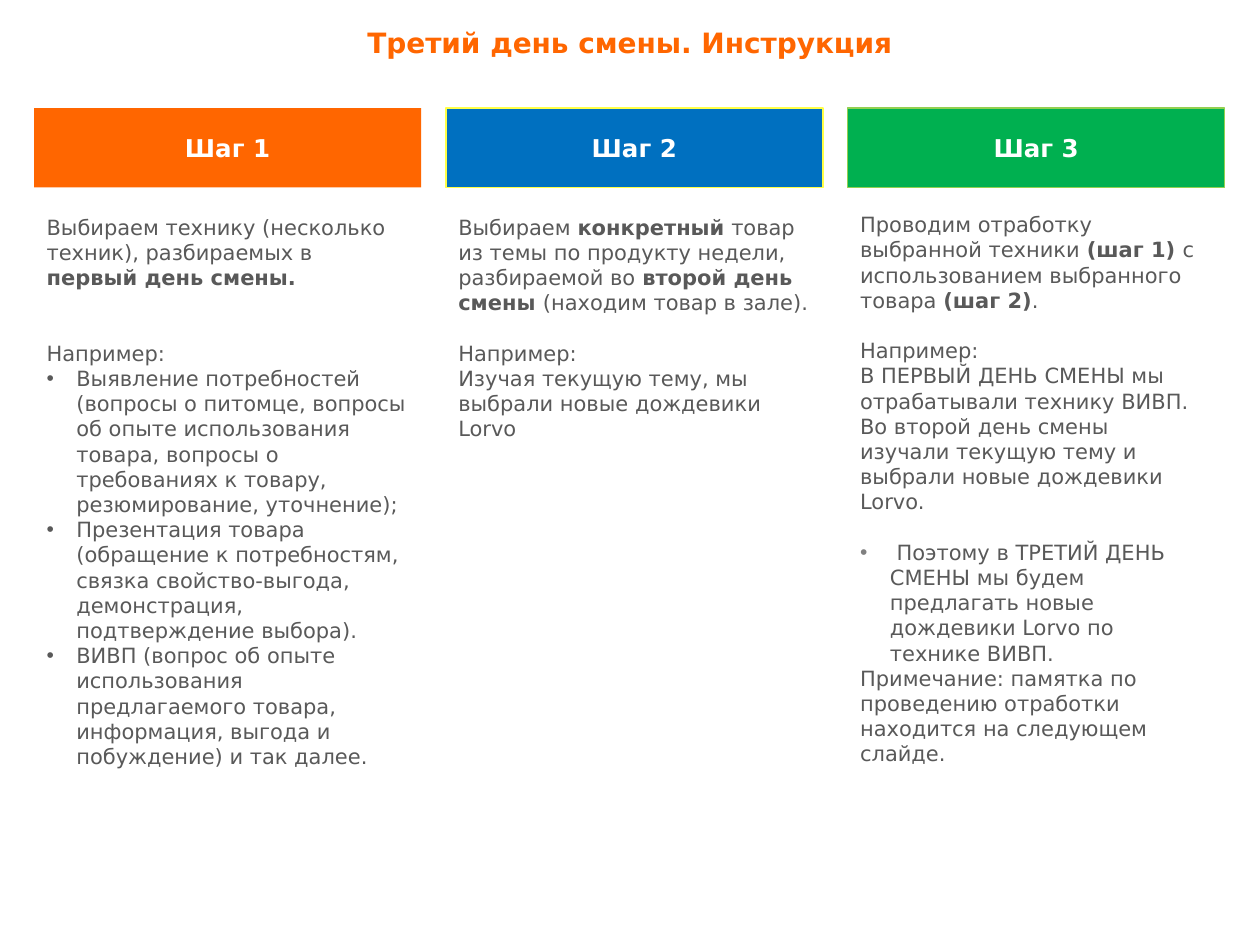
from dataclasses import dataclass
from typing import Any, Optional

from lxml import etree
from pptx import Presentation
from pptx import util as u
from pptx.dml.color import RGBColor
from pptx.enum import shapes, text
from pptx.oxml.ns import qn

HUES = {
    "orange": "FF6600",
    "blue": "0070C0",
    "green": "00B050",
    "yellow": "FFFF47",
    "lime": "92D050",
    "white": "FFFFFF",
    "dark": "595959",
    "gray": "808080",
}
FACE = "DejaVu Sans"
LEFT, GAP, TOP, HIGH = 0.69, 0.5, 2.18, 1.6
LEAD = 14.4


@dataclass
class Para:
    words: str
    skip: int = 0
    dot: Optional[str] = None


@dataclass
class Step:
    name: str
    fill: str
    edge: Optional[str]
    width: float
    box: tuple[float, float, float]
    paras: list[Para]


STEPS = [
    Step("Шаг 1", "orange", None, 7.8, (4.19, 7.8, 12.6), [
        Para("Выбираем технику (несколько техник), разбираемых в *первый день смены.*"),
        Para("Например:", 2),
        Para("Выявление потребностей (вопросы о питомце, вопросы об опыте "
             "использования товара, вопросы о требованиях к товару, "
             "резюмирование, уточнение);", dot="dark"),
        Para("Презентация товара (обращение к потребностям, связка "
             "свойство-выгода, демонстрация, подтверждение выбора).", dot="dark"),
        Para("ВИВП (вопрос об опыте использования предлагаемого товара, "
             "информация, выгода и побуждение) и так далее.", dot="dark"),
    ]),
    Step("Шаг 2", "blue", "yellow", 7.6, (4.19, 7.6, 7.6), [
        Para("Выбираем *конкретный* товар из темы по продукту недели, "
             "разбираемой во *второй день смены *(находим товар в зале)."),
        Para("Например:", 1),
        Para("Изучая текущую тему, мы выбрали новые дождевики Lorvo"),
    ]),
    Step("Шаг 3", "green", "lime", 7.6, (4.14, 7.4, 12.6), [
        Para("Проводим отработку выбранной техники *(шаг 1) *с "
             "использованием выбранного товара *(шаг 2)*."),
        Para("Например:", 1),
        Para("В ПЕРВЫЙ ДЕНЬ СМЕНЫ мы отрабатывали технику ВИВП. Во второй "
             "день смены изучали текущую тему и выбрали новые дождевики Lorvo."),
        Para(" Поэтому в ТРЕТИЙ ДЕНЬ СМЕНЫ мы будем предлагать новые "
             "дождевики Lorvo по технике ВИВП.", 1, "gray"),
        Para("Примечание: памятка по проведению отработки находится на "
             "следующем слайде."),
    ]),
]


def apply(item: Any, form: dict[str, Any]) -> None:
    for key, val in form.items():
        setattr(item, key, val)


def hue(name: str) -> RGBColor:
    return RGBColor.from_string(HUES[name])


def add_run(para: Any, words: str, size: float, tint: str, bold: bool) -> None:
    run = para.add_run()
    run.text = words
    apply(run.font, {"name": FACE, "size": u.Pt(size), "bold": bold})
    run.font.color.rgb = hue(tint)


def set_frame(frame: Any, anchor: Any, fit: Any = text.MSO_AUTO_SIZE.NONE) -> None:
    apply(frame, {
        "word_wrap": True, "auto_size": fit, "vertical_anchor": anchor,
        "margin_left": u.Cm(0.25), "margin_right": u.Cm(0.25),
        "margin_top": u.Cm(0.13), "margin_bottom": u.Cm(0.13),
    })


def add_dot(para: Any, tint: str) -> None:
    props = para._p.get_or_add_pPr()
    props.set("marL", str(u.Cm(0.6)))
    props.set("indent", str(-u.Cm(0.6)))
    color = etree.SubElement(props, qn("a:buClr"))
    etree.SubElement(color, qn("a:srgbClr"), val=HUES[tint])
    etree.SubElement(props, qn("a:buFont"), typeface="Arial")
    etree.SubElement(props, qn("a:buChar"), char="•")


def add_title(slide: Any, words: str) -> None:
    title = slide.shapes.title
    apply(title, {"left": u.Cm(0), "top": u.Cm(0.38),
                  "width": u.Cm(25.4), "height": u.Cm(0.94)})
    set_frame(title.text_frame, text.MSO_ANCHOR.TOP,
              text.MSO_AUTO_SIZE.SHAPE_TO_FIT_TEXT)
    para = title.text_frame.paragraphs[0]
    para.alignment = text.PP_ALIGN.CENTER
    add_run(para, words, 16, "orange", True)


def add_head(slide: Any, step: Step, left: float) -> None:
    bar = slide.shapes.add_shape(shapes.MSO_SHAPE.RECTANGLE, u.Cm(left),
                                 u.Cm(TOP), u.Cm(step.width), u.Cm(HIGH))
    bar.shadow.inherit = False
    bar.fill.solid()
    bar.fill.fore_color.rgb = hue(step.fill)
    if step.edge:
        bar.line.color.rgb = hue(step.edge)
        bar.line.width = u.Pt(0.75)
    else:
        bar.line.fill.background()
    set_frame(bar.text_frame, text.MSO_ANCHOR.MIDDLE)
    para = bar.text_frame.paragraphs[0]
    para.alignment = text.PP_ALIGN.CENTER
    add_run(para, step.name, 14, "white", True)


def add_body(slide: Any, step: Step, left: float) -> None:
    top, width, high = step.box
    box = slide.shapes.add_textbox(u.Cm(left), u.Cm(top), u.Cm(width), u.Cm(high))
    frame = box.text_frame
    set_frame(frame, text.MSO_ANCHOR.TOP)
    for num, item in enumerate(step.paras):
        para = frame.add_paragraph() if num else frame.paragraphs[0]
        if item.dot:
            add_dot(para, item.dot)
        para.line_spacing = u.Pt(LEAD)
        if item.skip:
            para.space_before = u.Pt(LEAD * item.skip)
        for pos, part in enumerate(item.words.split("*")):
            if part:
                add_run(para, part, 12, "dark", pos % 2 == 1)


def main() -> None:
    deck = Presentation()
    apply(deck, {"slide_width": u.Cm(25.4), "slide_height": u.Cm(19.05)})
    slide = deck.slides.add_slide(deck.slide_layouts[5])
    add_title(slide, "Третий день смены. Инструкция")
    left = LEFT
    for step in STEPS:
        add_head(slide, step, left)
        add_body(slide, step, left)
        left += step.width + GAP
    deck.save("out.pptx")


if __name__ == "__main__":
    main()
